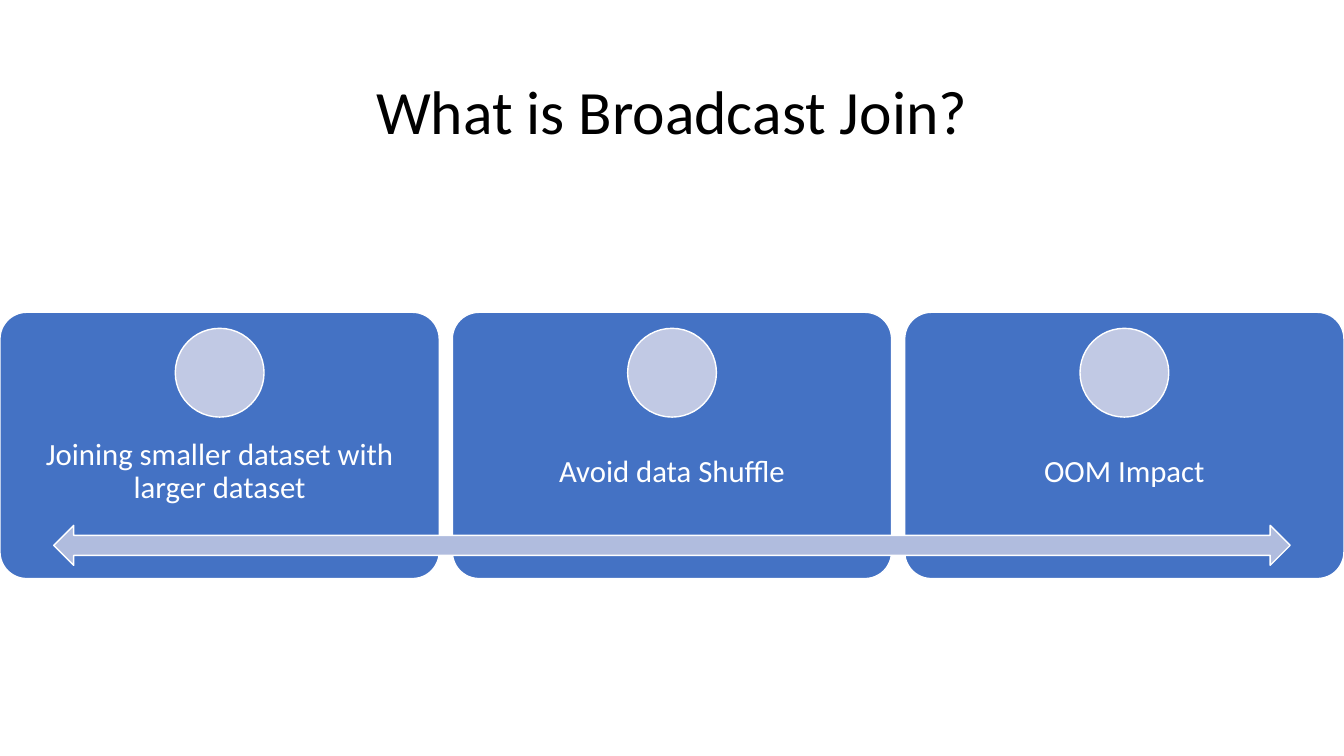
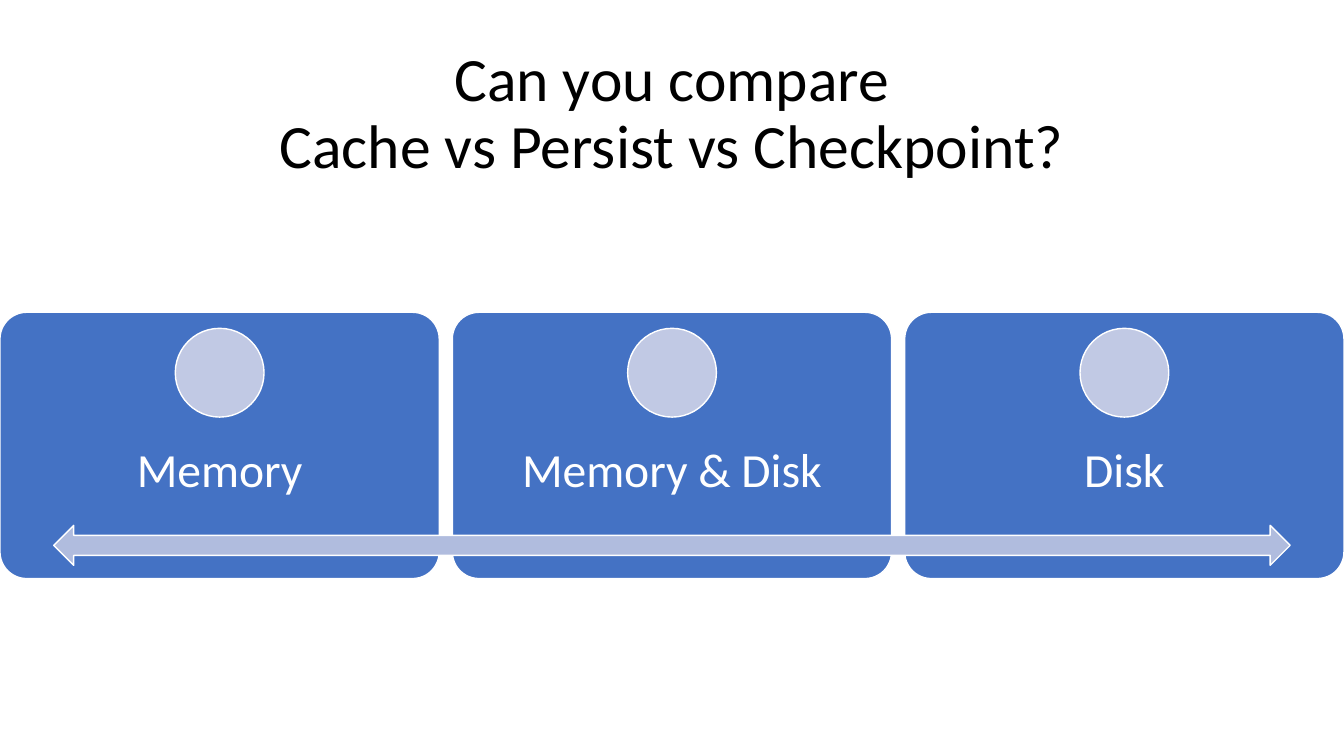
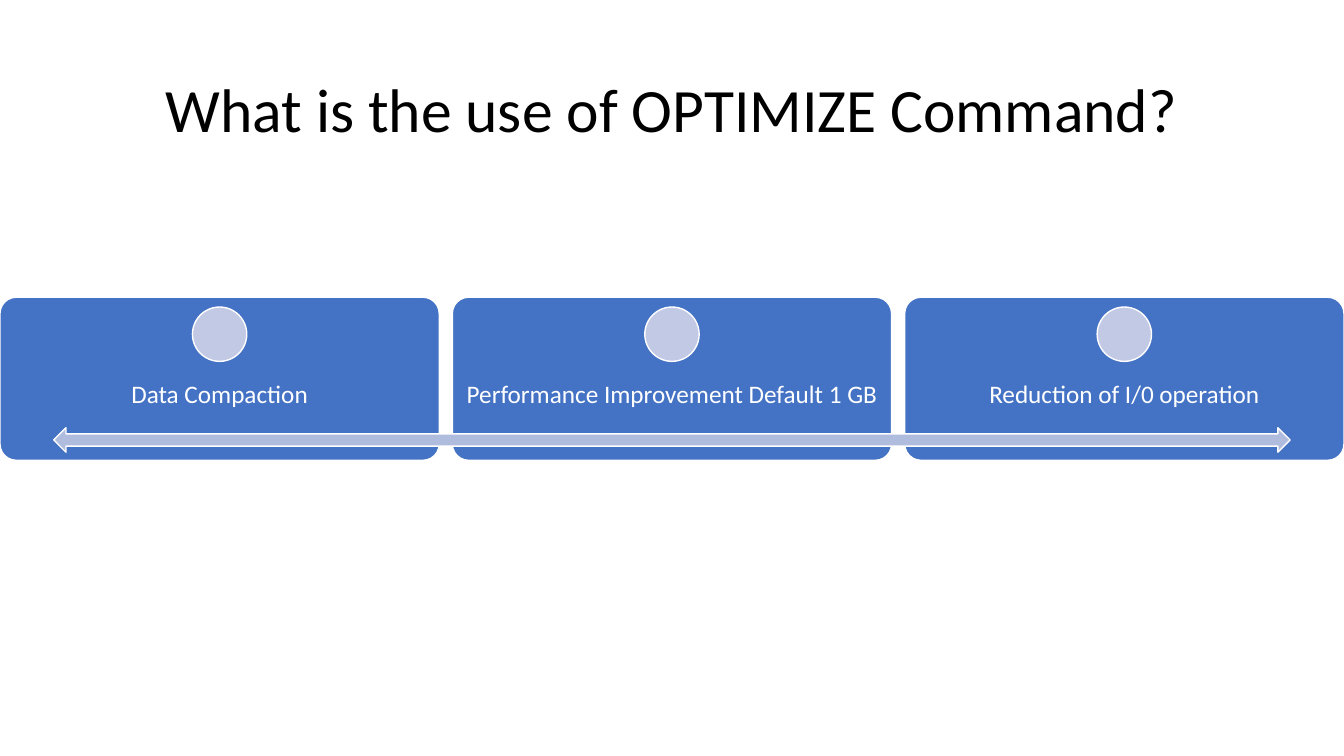
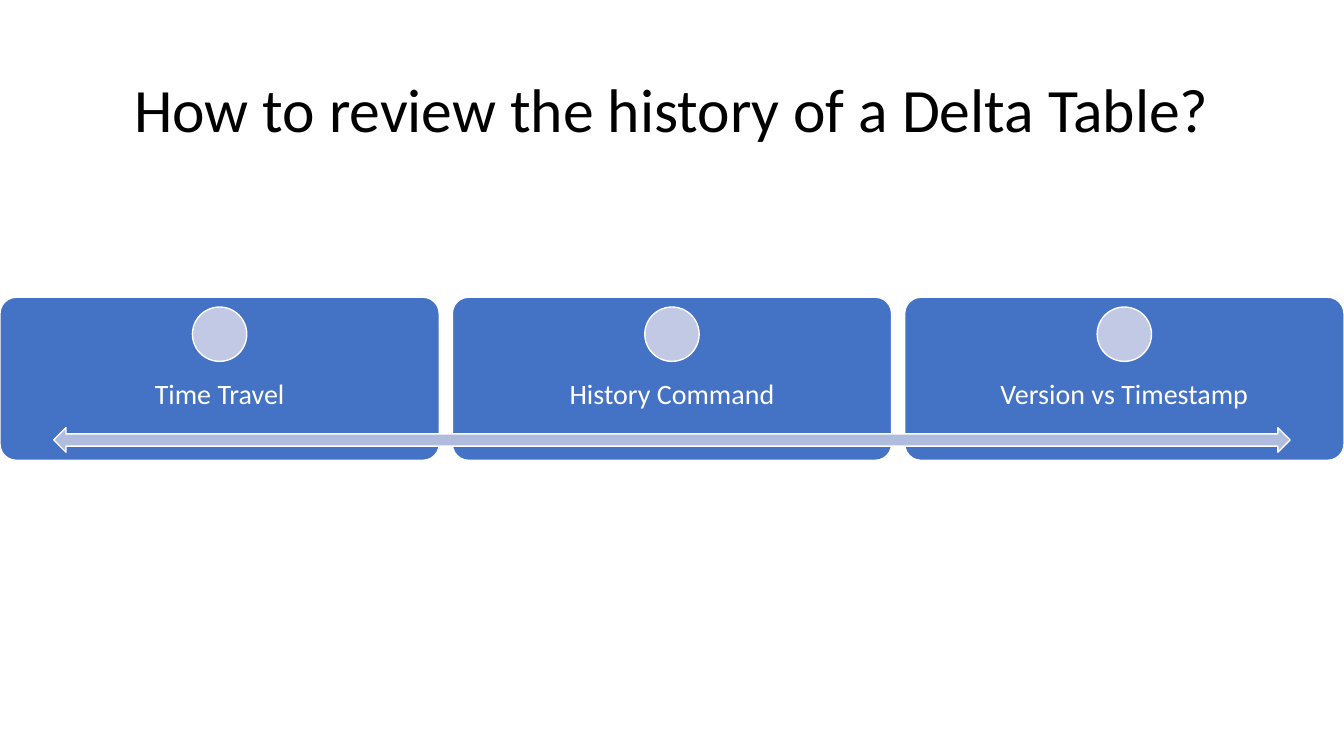
import dataclasses

import pptx
import pptx.dml.color
import pptx.enum.shapes
import pptx.enum.text
import pptx.util

Cm = pptx.util.Cm
Pt = pptx.util.Pt
Kind = pptx.enum.shapes.MSO_SHAPE

HUES: dict[str, str] = {
    "ink": "000000",
    "paper": "FFFFFF",
    "card": "4472C4",
    "disc": "C1C9E4",
    "arrow": "B0BCDE",
}
FONT = "Calibri"
WIDE, HIGH = 33.87, 19.05
CARD, GAP = 11.07, 0.33
SPAN = 0.92 * WIDE


@dataclasses.dataclass(frozen=True)
class Band:
    head: float
    top: float
    high: float


@dataclasses.dataclass(frozen=True)
class Page:
    title: tuple[str, ...]
    band: Band
    size: int
    words: tuple[str, str, str]


@dataclasses.dataclass(frozen=True)
class Box:
    left: float
    top: float
    wide: float
    high: float

    def place(self) -> tuple[int, int, int, int]:
        return Cm(self.left), Cm(self.top), Cm(self.wide), Cm(self.high)


TALL = Band(5.79, 7.87, 6.71)
SLIM = Band(5.66, 7.49, 4.11)

PAGES = (
    Page(("What is Broadcast Join?",), TALL, 22,
         ("Joining smaller dataset with larger dataset", "Avoid data Shuffle", "OOM Impact")),
    Page(("Can you compare", "Cache vs Persist vs Checkpoint?"), TALL, 34,
         ("Memory", "Memory & Disk", "Disk")),
    Page(("What is the use of OPTIMIZE Command?",), SLIM, 18,
         ("Data Compaction", "Performance Improvement Default 1 GB", "Reduction of I/0 operation")),
    Page(("How to review the history of a Delta Table?",), SLIM, 20,
         ("Time Travel", "History Command", "Version vs Timestamp")),
)


def tint(name: str) -> pptx.dml.color.RGBColor:
    return pptx.dml.color.RGBColor.from_string(HUES[name])


def write(frame, lines: tuple[str, ...], size: int, hue: str) -> None:
    frame.word_wrap = True
    frame.auto_size = pptx.enum.text.MSO_AUTO_SIZE.NONE
    frame.vertical_anchor = pptx.enum.text.MSO_ANCHOR.MIDDLE
    para = frame.paragraphs[0]
    para.alignment = pptx.enum.text.PP_ALIGN.CENTER
    para.line_spacing = 0.9
    for rank, line in enumerate(lines):
        if rank:
            para.add_line_break()
        run = para.add_run()
        run.text = line
        run.font.name = FONT
        run.font.size = Pt(size)
        run.font.color.rgb = tint(hue)


def shape(group, kind: Kind, box: Box, hue: str):
    item = group.shapes.add_shape(kind, *box.place())
    item.shadow.inherit = False
    item.fill.solid()
    item.fill.fore_color.rgb = tint(hue)
    item.line.color.rgb = tint("paper")
    item.line.width = Pt(1)
    return item


def label(group, box: Box, text: str, size: int) -> None:
    frame = group.shapes.add_textbox(*box.place()).text_frame
    inset = Pt(0.56 * size)
    frame.margin_left = frame.margin_right = inset
    frame.margin_top = frame.margin_bottom = inset
    write(frame, (text,), size, "paper")


def card(group, left: float, band: Band, text: str, size: int) -> None:
    top, high = band.top, band.high
    back = shape(group, Kind.ROUNDED_RECTANGLE, Box(left, top, CARD, high), "card")
    back.adjustments[0] = 0.1
    label(group, Box(left, top + 0.4 * high, CARD, 0.4 * high), text, size)
    disc = high / 3
    shape(group, Kind.OVAL,
          Box(left + (CARD - disc) / 2, top + 0.06 * high, disc, disc), "disc")


def draw(deck, page: Page) -> None:
    slide = deck.slides.add_slide(deck.slide_layouts[5])
    band = page.band
    title = slide.shapes.title
    title.left, title.top, title.width, title.height = Box(0, 0, WIDE, band.head).place()
    write(title.text_frame, page.title, 44, "ink")
    group = slide.shapes.add_group_shape()
    for rank, text in enumerate(page.words):
        card(group, rank * (CARD + GAP), band, text, page.size)
    shape(group, Kind.LEFT_RIGHT_ARROW,
          Box((WIDE - SPAN) / 2, band.top + 0.8 * band.high, SPAN, 0.15 * band.high), "arrow")


def main() -> None:
    deck = pptx.Presentation()
    deck.slide_width, deck.slide_height = Cm(WIDE), Cm(HIGH)
    for page in PAGES:
        draw(deck, page)
    deck.save("out.pptx")


if __name__ == "__main__":
    main()
